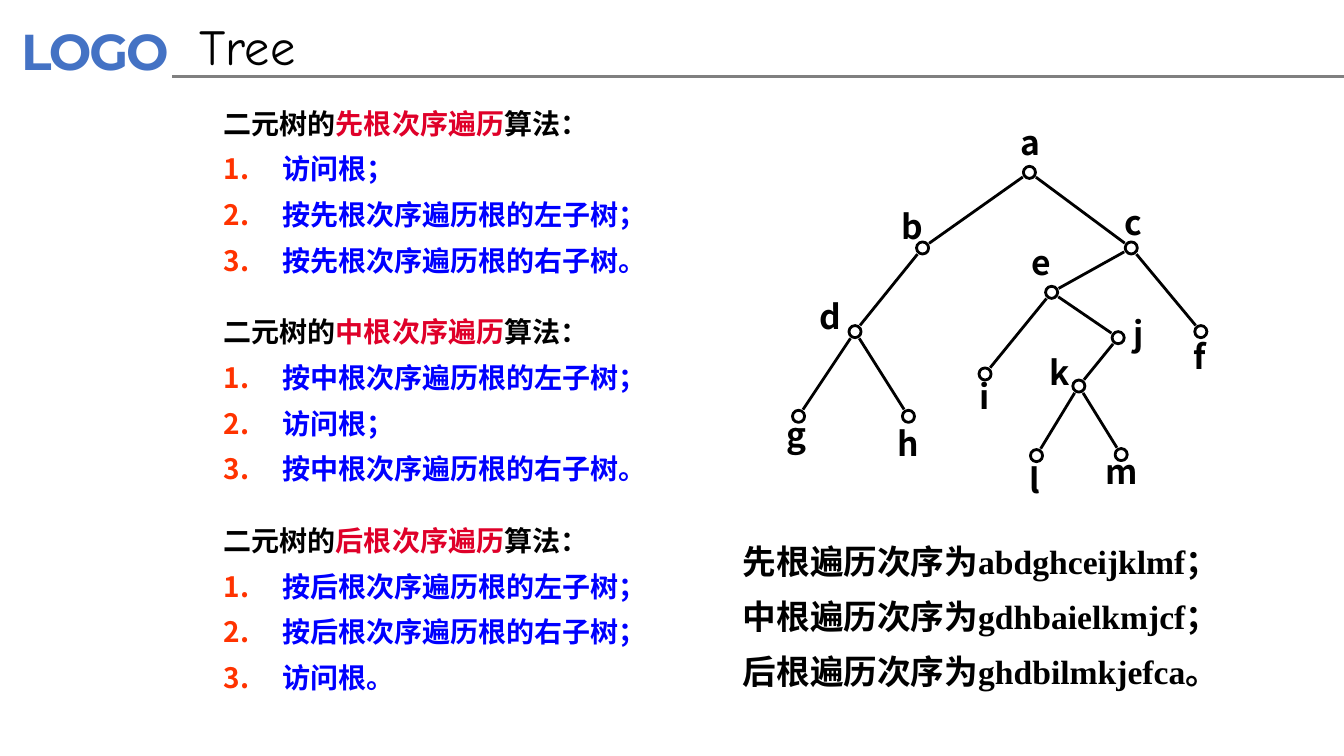
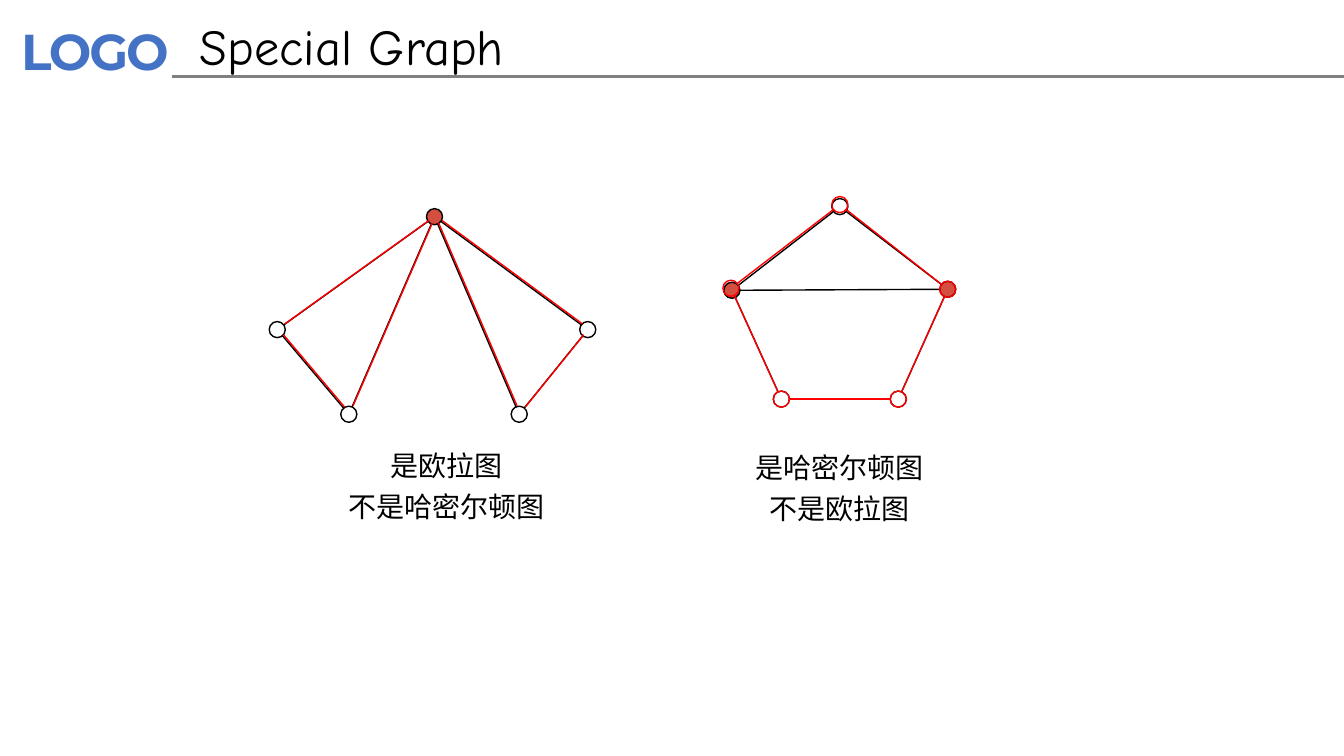
from dataclasses import dataclass
from math import hypot

from lxml.etree import SubElement
from pptx import Presentation
from pptx.dml.color import RGBColor
from pptx.enum.shapes import MSO_CONNECTOR, MSO_SHAPE
from pptx.enum.text import PP_ALIGN
from pptx.oxml.ns import qn
from pptx.slide import Slide
from pptx.text.text import TextFrame, _Paragraph
from pptx.util import Inches, Pt

INK = {"black": "000000", "white": "FFFFFF", "blue": "0000FF", "crimson": "DF0029",
       "orange": "FF3300", "logo": "4472C4", "rule": "808080", "brick": "D54F41",
       "red": "FF0000"}
CJK = "Noto Sans CJK SC"
TIMES = "Times New Roman"


@dataclass(frozen=True)
class Style:
    """Look of a run of text."""
    size: float
    font: str = CJK
    color: str = "black"
    bold: bool = False


@dataclass(frozen=True)
class Node:
    """Vertex centre, with the corner of its label if it has one."""
    x: float
    y: float
    label: tuple[float, float] | None = None
    fill: str | None = None


@dataclass(frozen=True)
class Graph:
    """Nodes and edges drawn with one pen."""
    nodes: dict[str, Node]
    edges: list[str]
    size: float
    width: float
    color: str = "black"
    rings: bool = True


@dataclass(frozen=True)
class Method:
    """Traversal rule and its steps."""
    top: float
    name: str
    steps: list[str]


LOGO = Style(36, "Montserrat", "logo", True)
TITLE = Style(36, "Comic Neue")
HEAD = Style(20, bold=True)
KEY = Style(20, color="crimson", bold=True)
STEP = Style(20, color="blue", bold=True)
MARK = Style(24, bold=True)
ORDER = Style(24, TIMES, bold=True)
NOTE = Style(20, TIMES)

METHODS = [
    Method(0.92, "先根次序遍历", ["访问根；", "按先根次序遍历根的左子树；", "按先根次序遍历根的右子树。"]),
    Method(2.99, "中根次序遍历", ["按中根次序遍历根的左子树；", "访问根；", "按中根次序遍历根的右子树。"]),
    Method(5.06, "后根次序遍历", ["按后根次序遍历根的左子树；", "按后根次序遍历根的右子树；", "访问根。"]),
]
ORDERS = ["先根遍历次序为abdghceijklmf；", "中根遍历次序为gdhbaielkmjcf；",
          "后根遍历次序为ghdbilmkjefca。"]

TREE = Graph({
    "a": Node(10.21, 1.71, (9.99, 1.21)),
    "b": Node(9.15, 2.46, (8.81, 2.04)),
    "c": Node(11.22, 2.46, (11.01, 2.0)),
    "d": Node(8.48, 3.29, (8.0, 2.94)),
    "e": Node(10.43, 2.9, (10.09, 2.4)),
    "f": Node(11.91, 3.29, (11.66, 3.33)),
    "g": Node(7.92, 4.13, (7.67, 4.11)),
    "h": Node(9.01, 4.13, (8.77, 4.2)),
    "i": Node(9.77, 3.71, (9.53, 3.73)),
    "j": Node(11.09, 3.35, (11.06, 3.1)),
    "k": Node(10.7, 3.83, (10.27, 3.49)),
    "l": Node(10.28, 4.52, (10.03, 4.56)),
    "m": Node(11.12, 4.51, (10.89, 4.47)),
}, ["ab", "ac", "bd", "dg", "dh", "ce", "cf", "ei", "ej", "jk", "kl", "km"], 0.12, 2)

KITE = {
    "t": Node(4.31, 2.15, fill="brick"),
    "a": Node(2.75, 3.27),
    "b": Node(3.46, 4.11),
    "c": Node(5.15, 4.11),
    "d": Node(5.83, 3.27),
}
TRAIL = {key: Node(node.x + 0.01, node.y - 0.01) for key, node in KITE.items()}
LOOPS = ["ta", "ab", "bt", "tc", "cd", "dt"]

HOUSE = {
    "t": Node(8.33, 2.05),
    "a": Node(7.26, 2.88, fill="brick"),
    "b": Node(7.75, 3.96),
    "c": Node(8.91, 3.96),
    "d": Node(9.4, 2.87, fill="brick"),
}
CYCLE = {key: Node(node.x, node.y) for key, node in HOUSE.items()}
CYCLE |= {"t": Node(8.33, 2.03), "a": Node(7.25, 2.86)}
ROUND = ["ta", "ab", "bc", "cd", "dt"]

GRAPHS = [
    Graph(KITE, LOOPS, 0.16, 1),
    Graph(HOUSE, ROUND + ["ad"], 0.16, 1),
    Graph(CYCLE, ROUND, 0.16, 1, "red"),
    Graph(TRAIL, LOOPS, 0.16, 1, "red", False),
]


def paint(name: str) -> RGBColor:
    """Return a named colour."""
    return RGBColor.from_string(INK[name])


def add_box(slide: Slide, x: float, y: float, w: float, h: float,
            pad: tuple[float, float] = (0.1, 0.05)) -> TextFrame:
    """Add a wrapping text box with side and end margins."""
    frame = slide.shapes.add_textbox(Inches(x), Inches(y), Inches(w), Inches(h)).text_frame
    frame.word_wrap = True
    frame.margin_left = frame.margin_right = Inches(pad[0])
    frame.margin_top = frame.margin_bottom = Inches(pad[1])
    return frame


def add_run(para: _Paragraph, text: str, style: Style, track: int = 0) -> None:
    """Add one styled run."""
    run = para.add_run()
    run.text = text
    font = run.font
    font.size, font.bold, font.name = Pt(style.size), style.bold, style.font
    font.color.rgb = paint(style.color)
    props = run._r.get_or_add_rPr()
    SubElement(props, qn("a:ea"), typeface=CJK)
    if track:
        props.set("spc", str(track))


def next_para(frame: TextFrame, align: PP_ALIGN, pitch: float, gap: float) -> _Paragraph:
    """Return the next empty paragraph, spaced from the one before."""
    first = frame.paragraphs[0]
    fresh = bool(first.runs)
    para = frame.add_paragraph() if fresh else first
    para.alignment = align
    para.line_spacing = Pt(pitch)
    para.space_before = Pt(gap if fresh else 0)
    return para


def add_count(para: _Paragraph) -> None:
    """Number a paragraph with a hanging indent."""
    props = para._p.get_or_add_pPr()
    props.set("marL", str(Inches(0.58)))
    props.set("indent", str(-Inches(0.58)))
    tint = SubElement(props, qn("a:buClr"))
    SubElement(tint, qn("a:srgbClr"), val=INK["orange"])
    SubElement(props, qn("a:buAutoNum"), type="arabicPeriod")


def add_line(slide: Slide, start: tuple[float, float], end: tuple[float, float],
             color: str, width: float) -> None:
    """Draw a straight line."""
    line = slide.shapes.add_connector(
        MSO_CONNECTOR.STRAIGHT, *(Inches(v) for v in (*start, *end)))
    line.line.color.rgb = paint(color)
    line.line.width = Pt(width)
    SubElement(line._element.spPr, qn("a:effectLst"))


def add_node(slide: Slide, node: Node, graph: Graph) -> None:
    """Draw a vertex as a circle."""
    half = graph.size / 2
    dot = slide.shapes.add_shape(MSO_SHAPE.OVAL, Inches(node.x - half), Inches(node.y - half),
                                 Inches(graph.size), Inches(graph.size))
    dot.shadow.inherit = False
    if node.fill or node.label:
        dot.fill.solid()
        dot.fill.fore_color.rgb = paint(node.fill or "white")
    else:
        dot.fill.background()
    dot.line.color.rgb = paint(graph.color)
    dot.line.width = Pt(graph.width)


def draw_graph(slide: Slide, graph: Graph) -> None:
    """Draw edges from rim to rim, then nodes and labels."""
    for one, two in graph.edges:
        a, b = graph.nodes[one], graph.nodes[two]
        part = 0.08 / hypot(b.x - a.x, b.y - a.y)
        dx, dy = (b.x - a.x) * part, (b.y - a.y) * part
        add_line(slide, (a.x + dx, a.y + dy), (b.x - dx, b.y - dy), graph.color, graph.width)
    for name, node in graph.nodes.items():
        if graph.rings:
            add_node(slide, node, graph)
        if node.label:
            para = add_box(slide, *node.label, 0.47, 0.4, (0, 0)).paragraphs[0]
            para.alignment = PP_ALIGN.CENTER
            add_run(para, name, MARK)


def add_page(deck: Presentation, title: str) -> Slide:
    """Add a slide with the logo, rule and title."""
    slide = deck.slides.add_slide(deck.slide_layouts[6])
    logo = add_box(slide, 0.08, 0.13, 1.86, 0.74, (0.13, 0.07))
    add_run(logo.paragraphs[0], "LOGO", LOGO, -150)
    add_line(slide, (1.71, 0.76), (13.33, 0.76), "rule", 2)
    add_run(add_box(slide, 1.88, 0.1, 8.62, 0.71).paragraphs[0], title, TITLE)
    return slide


def add_method(slide: Slide, method: Method) -> None:
    """Write a traversal rule with numbered steps."""
    frame = add_box(slide, 2.12, method.top, 8.82, 1.86)
    para = next_para(frame, PP_ALIGN.JUSTIFY, 30, 2.7)
    for text, style in (("二元树的", HEAD), (method.name, KEY), ("算法：", HEAD)):
        add_run(para, text, style)
    for step in method.steps:
        para = next_para(frame, PP_ALIGN.JUSTIFY, 30, 2.7)
        add_count(para)
        add_run(para, step, STEP)


def add_lines(frame: TextFrame, lines: list[str], style: Style, align: PP_ALIGN,
              pitch: float, gap: float) -> None:
    """Write lines of one style."""
    for line in lines:
        add_run(next_para(frame, align, pitch, gap), line, style)


def main() -> None:
    """Build and save the deck."""
    deck = Presentation()
    deck.slide_width, deck.slide_height = Inches(13.33), Inches(7.5)

    slide = add_page(deck, "Tree")
    for method in METHODS:
        add_method(slide, method)
    draw_graph(slide, TREE)
    add_lines(add_box(slide, 7.27, 5.21, 5.64, 1.67), ORDERS, ORDER,
              PP_ALIGN.JUSTIFY, 36.6, 2.7)

    slide = add_page(deck, "Special Graph")
    for graph in GRAPHS:
        draw_graph(slide, graph)
    for x, y, lines in ((3.41, 4.45, ["是欧拉图", "不是哈密尔顿图"]),
                        (7.31, 4.47, ["是哈密尔顿图", "不是欧拉图"])):
        add_lines(add_box(slide, x, y, 2.04, 1, (0, 0)), lines, NOTE,
                  PP_ALIGN.CENTER, 24, 5.5)

    deck.save("out.pptx")


if __name__ == "__main__":
    main()
